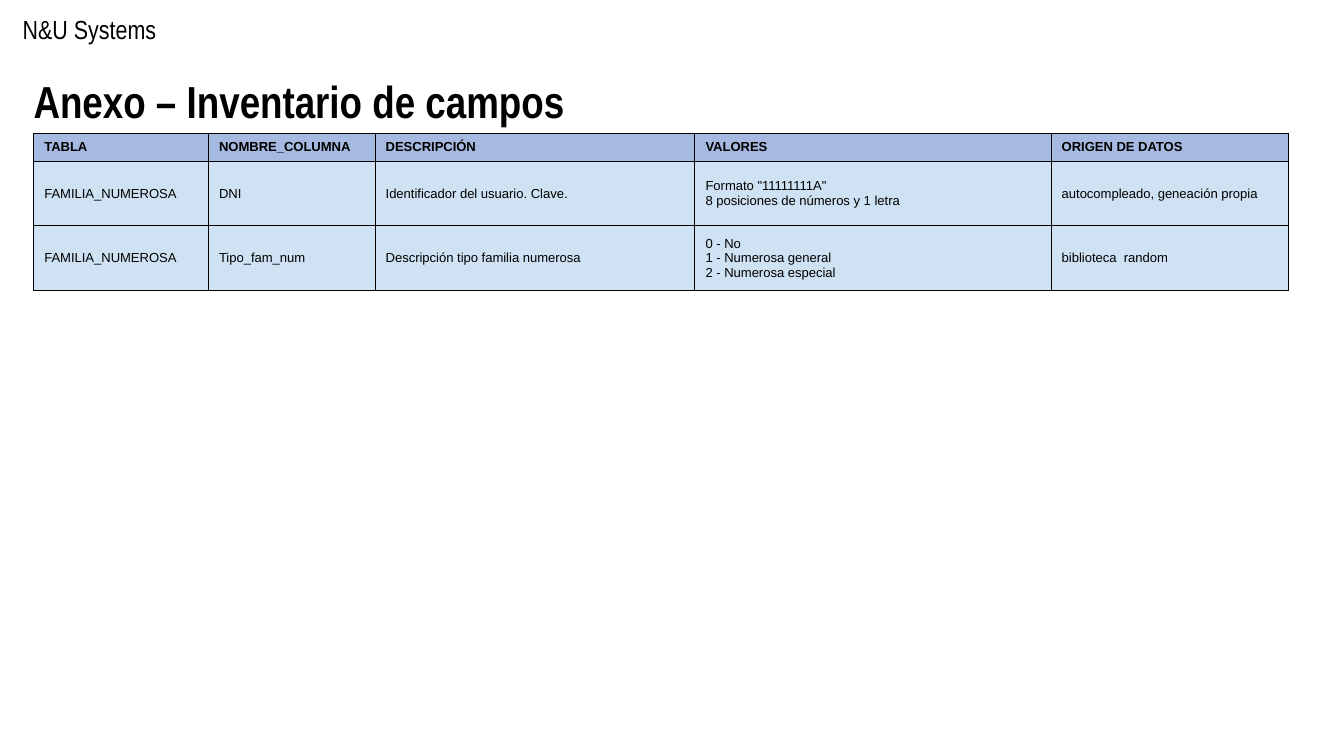
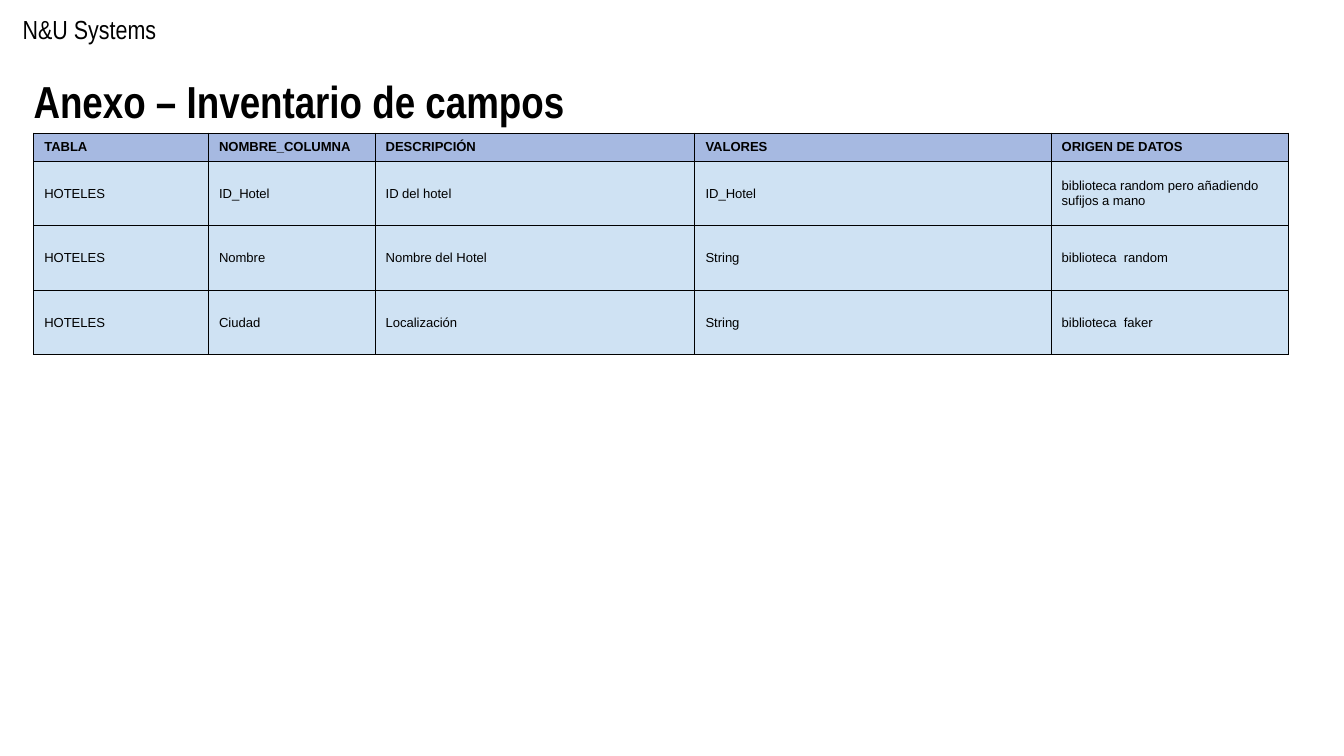
import dataclasses

import pptx
import pptx.dml.color
import pptx.enum.text
import pptx.oxml
import pptx.oxml.ns
import pptx.util


@dataclasses.dataclass(frozen=True)
class Theme:
    """Colours, fonts and type sizes shared by the slides."""

    ink: str = "000000"
    header_fill: str = "A6B9E1"
    body_fill: str = "CFE2F3"
    heading_font: str = "Arial Narrow"
    table_font: str = "Arial"
    brand_size: int = 14
    title_size: int = 24
    table_size: int = 7
    border_width: float = 0.5


@dataclasses.dataclass(frozen=True)
class Box:
    """A region measured in English Metric Units."""

    left: int
    top: int
    width: int
    height: int

    def inner(self, left, top, width, height):
        """Return an inner box given in percent of this one."""
        return Box(
            self.left + round(self.width * left / 100),
            self.top + round(self.height * top / 100),
            round(self.width * width / 100),
            round(self.height * height / 100),
        )


THEME = Theme()
BRAND = "N&U Systems"
TITLE = "Anexo – Inventario de campos"
HEADINGS = ("TABLA", "NOMBRE_COLUMNA", "DESCRIPCIÓN", "VALORES", "ORIGEN DE DATOS")
COLUMN_WEIGHTS = (1.3, 1.24, 2.38, 2.65, 1.77)
HEADER_WEIGHT, BODY_WEIGHT = 0.21, 0.48
ROW_SHARE = 17.78

INVENTORIES = {
    "FAMILIA_NUMEROSA": (
        (
            "DNI",
            "Identificador del usuario. Clave.",
            'Formato "11111111A"\v8 posiciones de números y 1 letra',
            "autocompleado, geneación propia",
        ),
        (
            "Tipo_fam_num",
            "Descripción tipo familia numerosa",
            "0 - No\v1 - Numerosa general\v2 - Numerosa especial",
            "biblioteca  random",
        ),
    ),
    "HOTELES": (
        (
            "ID_Hotel",
            "ID del hotel",
            "ID_Hotel",
            "biblioteca random pero añadiendo sufijos a mano",
        ),
        ("Nombre", "Nombre del Hotel", "String", "biblioteca  random"),
        ("Ciudad", "Localización", "String", "biblioteca  faker"),
    ),
}


def write(frame, text, font, size, bold=False):
    """Put left-aligned text in a frame and format its runs."""
    frame.text = text
    for para in frame.paragraphs:
        para.alignment = pptx.enum.text.PP_ALIGN.LEFT
        for span in para.runs:
            span.font.name = font
            span.font.size = pptx.util.Pt(size)
            span.font.bold = bold
            span.font.color.rgb = pptx.dml.color.RGBColor.from_string(THEME.ink)


def add_brand(page, box):
    """Add the running company name."""
    label = page.shapes.add_textbox(box.left, box.top, box.width, box.height)
    frame = label.text_frame
    frame.word_wrap = True
    frame.auto_size = pptx.enum.text.MSO_AUTO_SIZE.SHAPE_TO_FIT_TEXT
    frame.vertical_anchor = pptx.enum.text.MSO_ANCHOR.MIDDLE
    write(frame, BRAND, THEME.heading_font, THEME.brand_size)


def set_title(page, box):
    """Move and format the title placeholder."""
    title = page.shapes.title
    title.left, title.top, title.width, title.height = dataclasses.astuple(box)
    frame = title.text_frame
    frame.word_wrap = True
    frame.auto_size = pptx.enum.text.MSO_AUTO_SIZE.NONE
    frame.vertical_anchor = pptx.enum.text.MSO_ANCHOR.TOP
    frame.margin_left = frame.margin_right = pptx.util.Inches(0.1)
    frame.margin_top = frame.margin_bottom = pptx.util.Inches(0.1)
    write(frame, TITLE, THEME.heading_font, THEME.title_size, bold=True)


def add_borders(cell):
    """Draw a thin line on each side of a table cell."""
    properties = cell._tc.get_or_add_tcPr()
    width = pptx.util.Pt(THEME.border_width)
    for side in ("lnL", "lnR", "lnT", "lnB"):
        properties.append(pptx.oxml.parse_xml(
            f'<a:{side} {pptx.oxml.ns.nsdecls("a")} w="{width}"><a:solidFill>'
            f'<a:srgbClr val="{THEME.ink}"/></a:solidFill></a:{side}>'
        ))


def format_cell(cell, text, is_header):
    """Fill one table cell with text, borders and colour."""
    cell.margin_left = cell.margin_right = pptx.util.Inches(0.08)
    cell.margin_top = cell.margin_bottom = 0
    cell.vertical_anchor = pptx.enum.text.MSO_ANCHOR.MIDDLE
    add_borders(cell)
    cell.fill.solid()
    colour = THEME.header_fill if is_header else THEME.body_fill
    cell.fill.fore_color.rgb = pptx.dml.color.RGBColor.from_string(colour)
    write(cell.text_frame, text, THEME.table_font, THEME.table_size, is_header)


def add_inventory(page, box, name, fields):
    """Add the field table, sized by weights within its box."""
    rows = [HEADINGS, *((name, *field) for field in fields)]
    frame = page.shapes.add_table(
        len(rows), len(HEADINGS), box.left, box.top, box.width, box.height
    )
    table = frame.table
    table.horz_banding = False
    for column, weight in zip(table.columns, COLUMN_WEIGHTS):
        column.width = round(box.width * weight / sum(COLUMN_WEIGHTS))
    weights = [HEADER_WEIGHT] + [BODY_WEIGHT] * len(fields)
    for row, weight, texts in zip(table.rows, weights, rows):
        row.height = round(box.height * weight / sum(weights))
        for cell, text in zip(row.cells, texts):
            format_cell(cell, text, texts is HEADINGS)


def add_inventory_page(deck, name, fields):
    """Build one inventory slide."""
    page = deck.slides.add_slide(deck.slide_layouts[5])
    area = Box(0, 0, deck.slide_width, deck.slide_height)
    height = ROW_SHARE * (HEADER_WEIGHT + BODY_WEIGHT * len(fields))
    add_brand(page, area.inner(0.7, 0.9, 19.2, 6))
    set_title(page, area.inner(1.5, 8, 57.4, 11.2))
    add_inventory(page, area.inner(2.5, 17.6, 93.4, height), name, fields)


def main():
    """Build and save the deck."""
    deck = pptx.Presentation()
    deck.slide_width = pptx.util.Inches(10)
    deck.slide_height = deck.slide_width * 9 // 16
    for name, fields in INVENTORIES.items():
        add_inventory_page(deck, name, fields)
    deck.save("out.pptx")


if __name__ == "__main__":
    main()
